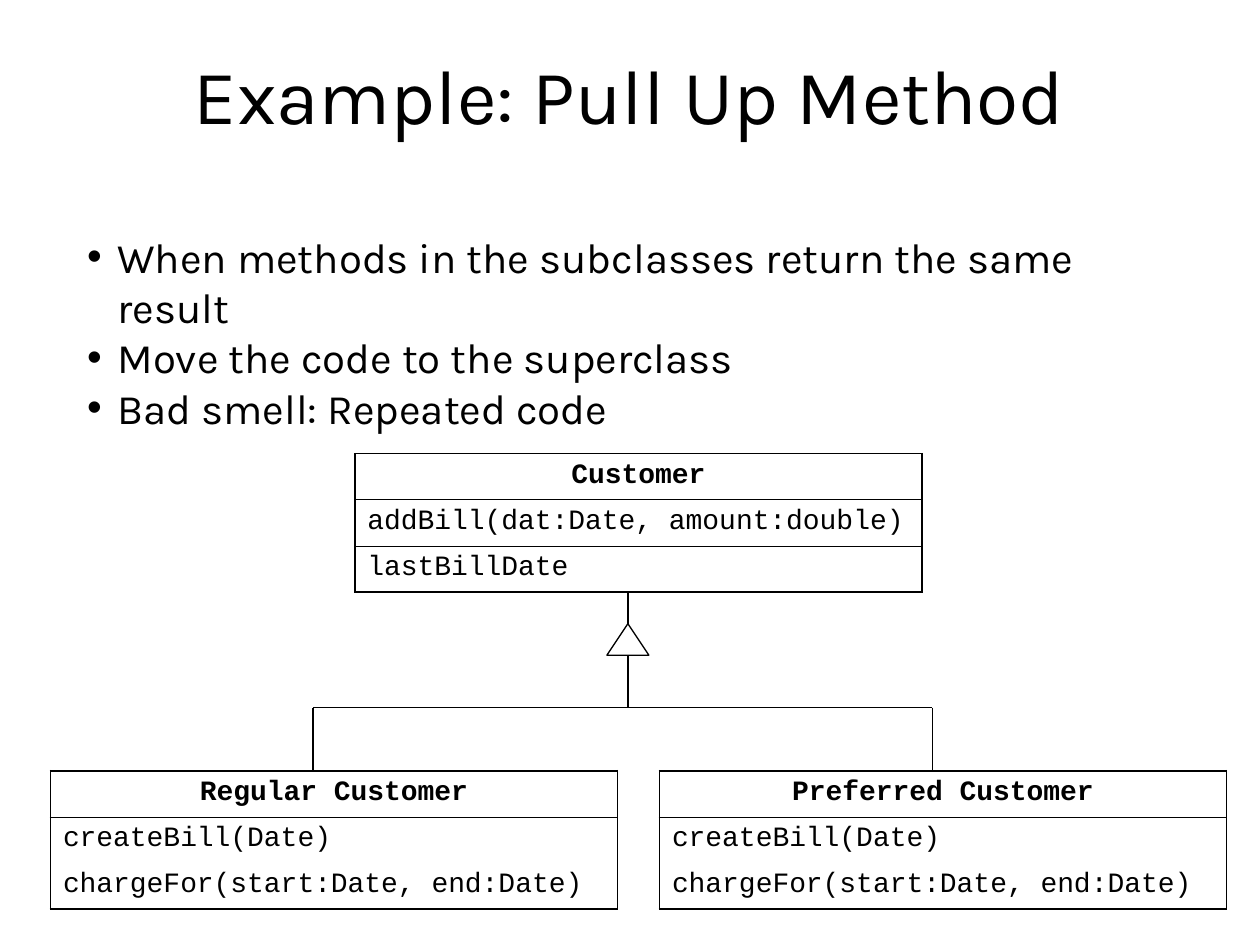
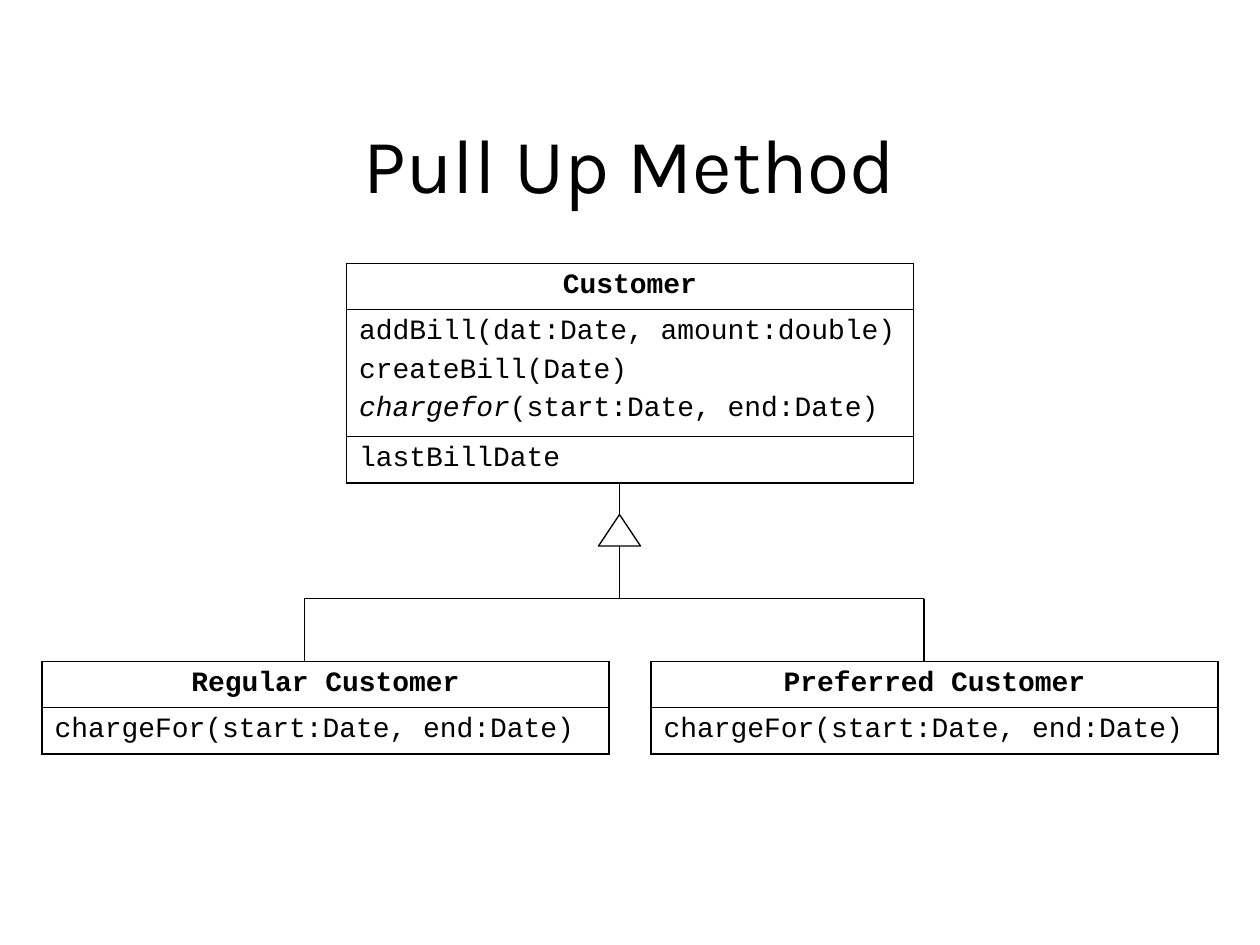
from typing import NamedTuple

from lxml.etree import SubElement
from pptx import Presentation
from pptx.dml.color import RGBColor
from pptx.enum.shapes import MSO_CONNECTOR, MSO_SHAPE
from pptx.enum.text import MSO_ANCHOR, MSO_AUTO_SIZE, PP_ALIGN
from pptx.oxml.ns import qn
from pptx.util import Inches, Length, Pt

BLACK = RGBColor(0x00, 0x00, 0x00)
WHITE = RGBColor(0xFF, 0xFF, 0xFF)

# The slide is a grid of 120 columns by 90 rows.
COLUMNS, ROWS = 120, 90
CELL = Inches(10) / COLUMNS

TITLE_FONT = {"name": "Karla", "size": Pt(44)}
LIST_FONT = {"name": "Karla", "size": Pt(24)}
CODE_FONT = {"name": "Courier New", "size": Pt(16)}
BULLET_INDENT = Inches(0.24)
LINE_GAP = Pt(4)
FRAME, DIVIDER, TREE_LINE = Pt(1.08), Pt(0.45), Pt(0.75)

CLASS_WIDTH, ROW_HEIGHT = 54, 4.4
STEM, ARROW_HEIGHT, ARROW_HALF = 3, 3, 2
TRUNK, BRANCH = 5, 6
BRANCH_ENDS = (-30, 29)
SUPERCLASS_OFFSET = -26
SUBCLASS_OFFSETS = (-55, 3)


class Box(NamedTuple):
    left: float
    top: float
    width: float
    height: float


class Member(NamedTuple):
    signature: str
    abstract_name: str = ""


class Compartment(NamedTuple):
    members: tuple[Member, ...]
    height: float = ROW_HEIGHT
    divided: bool = True


class UmlClass(NamedTuple):
    name: str
    compartments: tuple[Compartment, ...]


class Hierarchy(NamedTuple):
    """A superclass and its subclasses, placed by the tip of the arrow."""
    tip_x: float
    tip_y: float
    superclass: UmlClass
    subclasses: tuple[UmlClass, ...]


class Page(NamedTuple):
    title: str
    title_box: Box
    hierarchy: Hierarchy
    points: tuple[str, ...] = ()


ADD_BILL = Member("addBill(dat:Date, amount:double)")
CREATE_BILL = Member("createBill(Date)")
CHARGE_FOR = Member("chargeFor(start:Date, end:Date)")
ABSTRACT_CHARGE = Member("(start:Date, end:Date)", "chargefor")
LAST_BILL = Compartment((Member("lastBillDate"),))
SUBCLASS_NAMES = ("Regular Customer", "Preferred Customer")
POINTS_BOX = Box(7.1, 21.4, 105.8, 20.4)


def subclasses(*compartments: Compartment) -> tuple[UmlClass, ...]:
    return tuple(UmlClass(name, compartments) for name in SUBCLASS_NAMES)


PAGES = (
    Page(
        "Example: Pull Up Method",
        Box(9, 3.4, 102, 11),
        Hierarchy(
            59.8, 59.4,
            UmlClass("Customer", (Compartment((ADD_BILL,)), LAST_BILL)),
            subclasses(Compartment((CREATE_BILL,)),
                       Compartment((CHARGE_FOR,), divided=False)),
        ),
        ("When methods in the subclasses return the same result",
         "Move the code to the superclass",
         "Bad smell: Repeated code"),
    ),
    Page(
        "Pull Up Method",
        Box(9, 8, 102, 15),
        Hierarchy(
            59, 49,
            UmlClass("Customer", (
                Compartment((ADD_BILL, CREATE_BILL, ABSTRACT_CHARGE), 12.1),
                LAST_BILL)),
            subclasses(Compartment((CHARGE_FOR,))),
        ),
    ),
)


def grid(count: float) -> Length:
    return Length(round(count * CELL))


def style(font, values: dict) -> None:
    for attribute, value in values.items():
        setattr(font, attribute, value)
    font.color.rgb = BLACK


def place(placeholder, box: Box, anchor: MSO_ANCHOR) -> None:
    for side, count in box._asdict().items():
        setattr(placeholder, side, grid(count))
    frame = placeholder.text_frame
    settings = {"word_wrap": True, "auto_size": MSO_AUTO_SIZE.NONE,
                "vertical_anchor": anchor}
    for attribute, value in settings.items():
        setattr(frame, attribute, value)


def write_title(slide, page: Page) -> None:
    title = slide.shapes.title
    title.text_frame.text = page.title
    place(title, page.title_box, MSO_ANCHOR.MIDDLE)
    heading = title.text_frame.paragraphs[0]
    heading.alignment = PP_ALIGN.CENTER
    style(heading.font, TITLE_FONT)


def write_points(slide, points: tuple[str, ...]) -> None:
    body = slide.placeholders[1]
    body.text_frame.text = "\n".join(points)
    place(body, POINTS_BOX, MSO_ANCHOR.TOP)
    for point in body.text_frame.paragraphs:
        properties = point._p.get_or_add_pPr()
        properties.set("marL", str(BULLET_INDENT))
        properties.set("indent", str(-BULLET_INDENT))
        point.space_before = Pt(0)
        style(point.font, LIST_FONT)


def set_borders(cell, top: int, bottom: int) -> None:
    """Draw the four borders of a cell; a width of zero leaves one out."""
    properties = cell._tc.get_or_add_tcPr()
    widths = {"a:lnL": FRAME, "a:lnR": FRAME, "a:lnT": top, "a:lnB": bottom}
    for tag, width in widths.items():
        border = SubElement(properties, qn(tag), w=str(int(width)))
        if width:
            fill = SubElement(border, qn("a:solidFill"))
            SubElement(fill, qn("a:srgbClr"), val=str(BLACK))
        else:
            SubElement(border, qn("a:noFill"))
    cell.fill.background()


def write_members(cell, members: tuple[Member, ...], heading: bool) -> None:
    frame = cell.text_frame
    for index, member in enumerate(members):
        line = frame.add_paragraph() if index else frame.paragraphs[0]
        line.alignment = PP_ALIGN.CENTER if heading else PP_ALIGN.LEFT
        if index:
            line.space_before = LINE_GAP
        for text, italic in ((member.abstract_name, True),
                             (member.signature, False)):
            if text:
                run = line.add_run()
                run.text = text
                style(run.font, CODE_FONT | {"bold": heading, "italic": italic})


def class_rows(uml: UmlClass) -> tuple[Compartment, ...]:
    return (Compartment((Member(uml.name),)), *uml.compartments)


def draw_class(slide, uml: UmlClass, left: float, top: float) -> None:
    rows = class_rows(uml)
    height = sum(row.height for row in rows)
    table = slide.shapes.add_table(
        len(rows), 1, grid(left), grid(top), grid(CLASS_WIDTH), grid(height)
    ).table
    table.first_row = table.horz_banding = False
    inner = [DIVIDER if row.divided else 0 for row in rows[1:]]
    edges = [FRAME, *inner, FRAME]
    for index, row in enumerate(rows):
        table.rows[index].height = grid(row.height)
        cell = table.cell(index, 0)
        set_borders(cell, edges[index], edges[index + 1])
        write_members(cell, row.members, heading=index == 0)


def draw_line(slide, x1: float, y1: float, x2: float, y2: float) -> None:
    line = slide.shapes.add_connector(
        MSO_CONNECTOR.STRAIGHT, grid(x1), grid(y1), grid(x2), grid(y2))
    line.line.color.rgb = BLACK
    line.line.width = TREE_LINE
    SubElement(line._element.spPr, qn("a:effectLst"))


def draw_arrowhead(slide, x: float, y: float) -> None:
    arrowhead = slide.shapes.add_shape(
        MSO_SHAPE.ISOSCELES_TRIANGLE, grid(x - ARROW_HALF), grid(y),
        grid(2 * ARROW_HALF), grid(ARROW_HEIGHT))
    arrowhead.shadow.inherit = False
    arrowhead.fill.solid()
    arrowhead.fill.fore_color.rgb = WHITE
    arrowhead.line.color.rgb = BLACK
    arrowhead.line.width = TREE_LINE


def draw_hierarchy(slide, tree: Hierarchy) -> None:
    x, tip = tree.tip_x, tree.tip_y
    arrow_base = tip + ARROW_HEIGHT
    fork = arrow_base + TRUNK
    leaf_top = fork + BRANCH
    root_top = tip - STEM - sum(r.height for r in class_rows(tree.superclass))

    draw_class(slide, tree.superclass, x + SUPERCLASS_OFFSET, root_top)
    for uml, offset in zip(tree.subclasses, SUBCLASS_OFFSETS):
        draw_class(slide, uml, x + offset, leaf_top)

    left, right = (x + end for end in BRANCH_ENDS)
    draw_line(slide, left, fork, right, fork)
    for branch in (left, right):
        draw_line(slide, branch, fork, branch, leaf_top)
    draw_line(slide, x, fork, x, arrow_base)
    draw_line(slide, x, tip, x, tip - STEM)
    draw_arrowhead(slide, x, tip)


def main() -> None:
    deck = Presentation()
    deck.slide_width, deck.slide_height = grid(COLUMNS), grid(ROWS)
    title_and_content, title_only = deck.slide_layouts[1], deck.slide_layouts[5]
    for page in PAGES:
        slide = deck.slides.add_slide(
            title_and_content if page.points else title_only)
        write_title(slide, page)
        if page.points:
            write_points(slide, page.points)
        draw_hierarchy(slide, page.hierarchy)
    deck.save("out.pptx")


if __name__ == "__main__":
    main()
